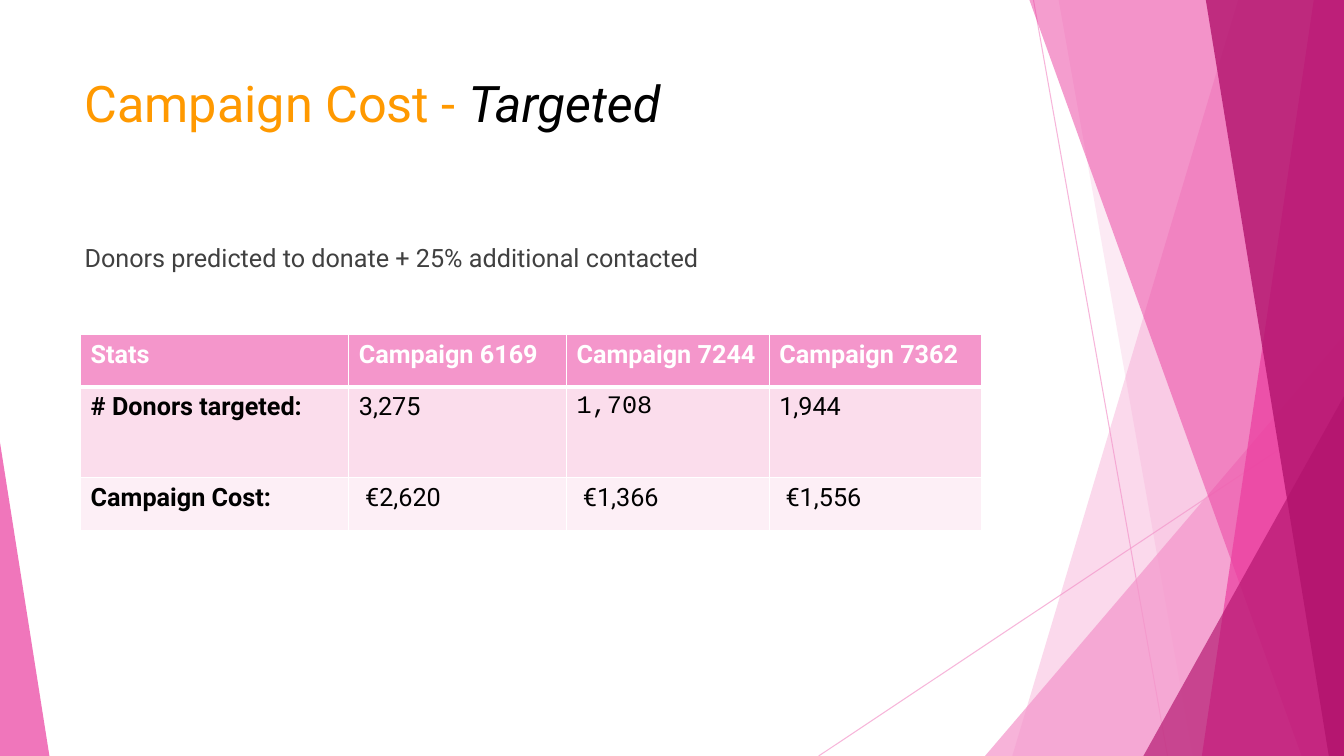
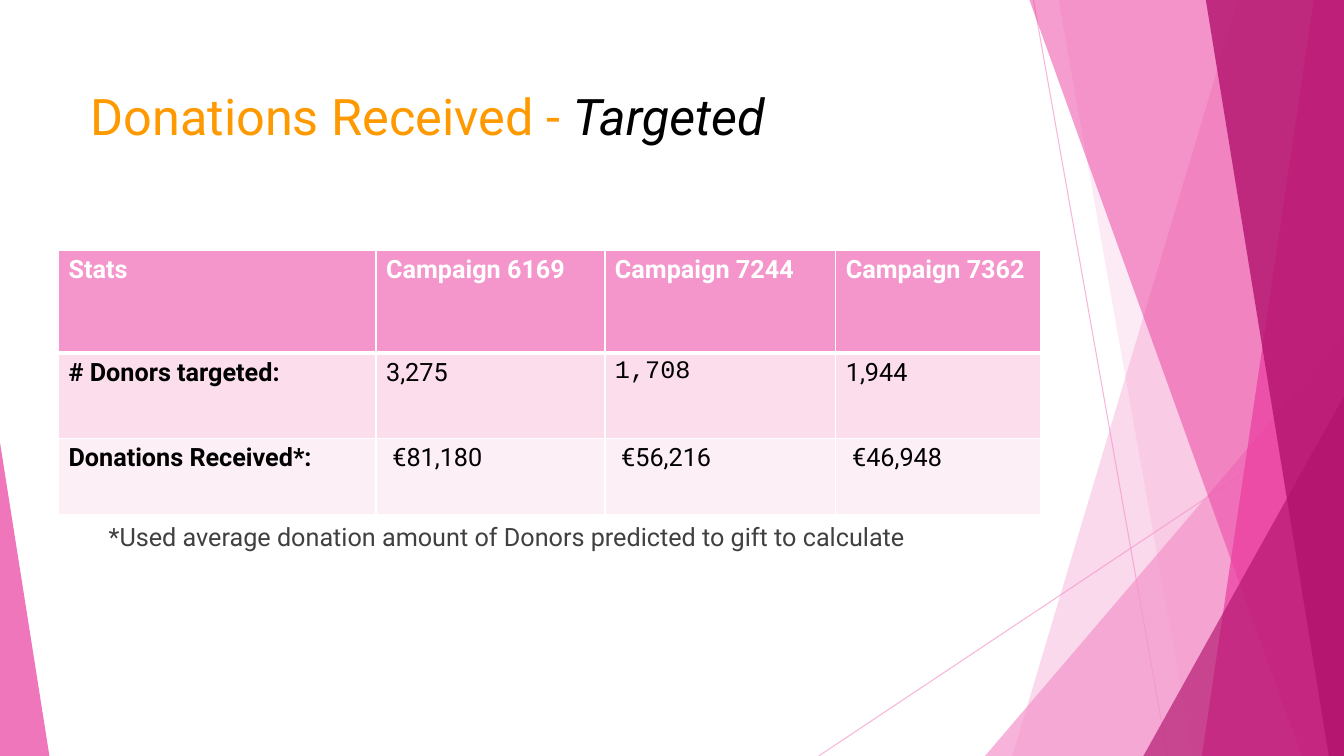
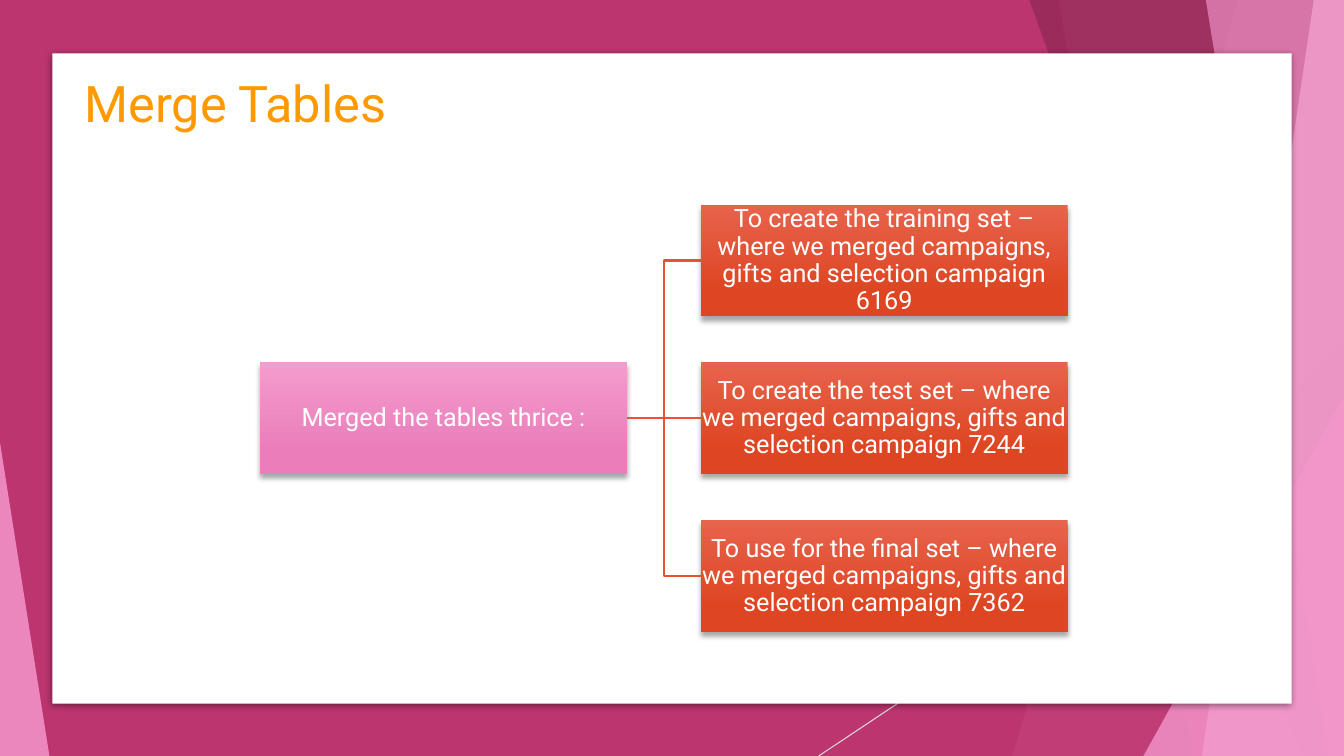
import pptx
import pptx.dml.color
import pptx.enum.shapes
import pptx.enum.text
import pptx.oxml
import pptx.oxml.ns
import pptx.util

WIDTH, HEIGHT = 13.33, 7.5


class Theme:
    font, mono = "Roboto", "Courier New"
    title_size, body_size = 36, 18
    orange, black, white, gray = "FF9900", "000000", "FFFFFF", "404040"
    pink, rose, plum, wine, blush = "F496CB", "EB3D9F", "B2136D", "8D2853", "F8C0E0"
    backdrop, silver, connector = "BC356F", "D9D9D9", "E65331"
    rows = (pink, "FBDDEC", "FDEFF6")
    root_gradient = ("F49CCD", "EA7EBB")
    branch_gradient = ("E7634C", "DE4522")


# Content
CAMPAIGNS = ["Stats", "Campaign 6169", "Campaign 7244", "Campaign 7362"]
DONORS = ["# Donors targeted:", "3,275", "1,708", "1,944"]
TABLE_SLIDES = [
    dict(
        title="Campaign Cost - ", title_at=(0.74, 0.67),
        note="Donors predicted to donate + 25% additional contacted",
        note_at=(0.74, 2.36, 9.4, 4.24),
        table_at=(0.8, 3.32), columns=(2.66, 2.16, 2.01, 2.11), heights=(0.52, 0.9, 0.52),
        result=["Campaign Cost:", " €2,620", " €1,366", " €1,556"],
    ),
    dict(
        title="Donations Received - ", title_at=(0.8, 0.8),
        note="*Used average donation amount of Donors predicted to gift to calculate",
        note_at=(0.98, 5.12, 9.17, 1.49),
        table_at=(0.58, 2.48), columns=(3.15, 2.27, 2.29, 2.03), heights=(1.02, 0.85, 0.76),
        result=["Donations Received*:", " €81,180", " €56,216", " €46,948"],
    ),
]
MERGE_ROOT = "Merged the tables thrice :"
MERGE_BRANCHES = [
    "To create the training set – where we merged campaigns, gifts and selection campaign 6169",
    "To create the test set – where we merged campaigns, gifts and selection campaign 7244",
    "To use for the final set – where we merged campaigns, gifts and selection campaign 7362",
]

# Side decoration: bands are (top x, bottom x) up to the right edge,
# triangles are (left, top, width, apex) down to the bottom edge
FACETS = [
    (12.28, 10.04), (10.5, 11.83), (9.77, 3.33, 3.56, 1), (10.21, 12.91),
    (13.03, 11.92), (11.96, 13.18), (11.34, 3.93, 1.99, 1), (0, 4.39, 0.49, 0),
]
STEEP_RAY, FLAT_RAY = (10.25, 0, 11.58, HEIGHT), (WIDTH, 4.03, 8.12, HEIGHT)
LIGHT_FACETS = [
    (Theme.pink, 36), (Theme.pink, 20), (Theme.pink, 72), (Theme.rose, 50),
    (Theme.rose, 70), (Theme.plum, 80), (Theme.plum, 66), (Theme.rose, 70),
]
DARK_FACETS = [
    (Theme.pink, 30), (Theme.pink, 20), (Theme.backdrop, 72), (Theme.wine, 70),
    (Theme.blush, 70), (Theme.pink, 65), (Theme.pink, 80), (Theme.pink, 85),
]


def inches(values):
    return [pptx.util.Inches(value) for value in values]


def color(code):
    return pptx.dml.color.RGBColor.from_string(code)


def append_xml(parent, xml):
    start, rest = xml.split(" ", 1)
    element = pptx.oxml.parse_xml(f"{start} {pptx.oxml.ns.nsdecls('a')} {rest}")
    parent.append(element)


def set_alpha(shape, percent):
    for code in shape._element.spPr.iter(pptx.oxml.ns.qn("a:srgbClr")):
        append_xml(code, f'<a:alpha val="{percent * 1000}"/>')


def add_shadow(shape, alpha, blur, distance):
    blur, distance = pptx.util.Pt(blur), pptx.util.Pt(distance)
    for effects in shape._element.spPr.findall(pptx.oxml.ns.qn("a:effectLst")):
        append_xml(effects, f'<a:outerShdw blurRad="{blur}" dist="{distance}" dir="5400000" '
                   f'algn="ctr" rotWithShape="0"><a:srgbClr val="{Theme.black}">'
                   f'<a:alpha val="{alpha * 1000}"/></a:srgbClr></a:outerShdw>')


def plain(shape, fill=None):
    shape.shadow.inherit = False
    shape.line.fill.background()
    if fill:
        shape.fill.solid()
        shape.fill.fore_color.rgb = color(fill)
    return shape


def add_rectangle(page, place, fill=None):
    kind = pptx.enum.shapes.MSO_SHAPE.RECTANGLE
    return plain(page.shapes.add_shape(kind, *inches(place)), fill)


def add_line(page, ends, code, width, kind="STRAIGHT"):
    kind = pptx.enum.shapes.MSO_CONNECTOR[kind]
    line = page.shapes.add_connector(kind, *inches(ends))
    line.line.color.rgb = color(code)
    line.line.width = pptx.util.Pt(width)
    append_xml(line._element.spPr, "<a:effectLst />")
    return line


def add_span(para, text, size, code, bold=False, italic=False, font=Theme.font):
    span = para.add_run()
    span.text = text
    span.font.name, span.font.size = font, pptx.util.Pt(size)
    span.font.bold, span.font.italic = bold, italic
    span.font.color.rgb = color(code)


def add_text(page, place):
    box = page.shapes.add_textbox(*inches(place))
    box.text_frame.word_wrap = True
    return box.text_frame.paragraphs[0]


def add_title(page, left, top, text, emphasis=None):
    para = add_text(page, (left, top, 9.4, 0.74))
    add_span(para, text, Theme.title_size, Theme.orange)
    if emphasis:
        add_span(para, emphasis, Theme.title_size, Theme.black, italic=True)


def add_facets(page, palette):
    for facet, (code, alpha) in zip(FACETS, palette):
        if len(facet) == 2:
            top, bottom = facet
            corners = [(WIDTH, 0), (WIDTH, HEIGHT), (bottom, HEIGHT)]
            builder = page.shapes.build_freeform(*inches((top, 0)))
            builder.add_line_segments([inches(corner) for corner in corners])
            shape = builder.convert_to_shape()
        else:
            left, top, width, apex = facet
            shape = page.shapes.add_shape(
                pptx.enum.shapes.MSO_SHAPE.ISOSCELES_TRIANGLE,
                *inches((left, top, width, HEIGHT - top)))
            shape.adjustments[0] = apex
        set_alpha(plain(shape, code), alpha)


def set_borders(cell, widths):
    properties = cell._tc.get_or_add_tcPr()
    fill = properties[0]
    for side, width in widths.items():
        append_xml(properties, f'<a:{side} w="{pptx.util.Pt(width)}"><a:solidFill>'
                   f'<a:srgbClr val="{Theme.white}"/></a:solidFill></a:{side}>')
    properties.append(fill)


def add_stats_table(page, place, columns, heights, rows):
    size = (sum(columns), sum(heights))
    table = page.shapes.add_table(len(rows), len(columns), *inches(place + size)).table
    for column, width in zip(table.columns, inches(columns)):
        column.width = width
    for row, height in zip(table.rows, inches(heights)):
        row.height = height
    for row, texts in enumerate(rows):
        for column, text in enumerate(texts):
            cell = table.cell(row, column)
            cell.fill.solid()
            cell.fill.fore_color.rgb = color(Theme.rows[row])
            set_borders(cell, {"lnL": 1, "lnR": 1, "lnT": 3 if row == 1 else 1,
                               "lnB": 3 if row == 0 else 1})
            add_span(cell.text_frame.paragraphs[0], text, Theme.body_size,
                     Theme.black if row else Theme.white,
                     bold=row == 0 or column == 0,
                     font=Theme.mono if (row, column) == (1, 2) else Theme.font)


def add_node(page, place, text, gradient):
    node = add_rectangle(page, place)
    node.fill.gradient()
    node.fill.gradient_angle = 270
    for stop, position, code in zip(node.fill.gradient_stops, (0, 0.78), gradient):
        stop.position = position
        stop.color.rgb = color(code)
    add_shadow(node, 35, 4, 3)
    frame = node.text_frame
    frame.word_wrap = True
    frame.vertical_anchor = pptx.enum.text.MSO_ANCHOR.MIDDLE
    frame.margin_left = frame.margin_right = pptx.util.Inches(0.01)
    frame.margin_top = frame.margin_bottom = pptx.util.Inches(0.01)
    para = frame.paragraphs[0]
    para.alignment = pptx.enum.text.PP_ALIGN.CENTER
    para.line_spacing = 0.9
    add_span(para, text, Theme.body_size, Theme.white)
    return node


def build_table_slide(page, content):
    for ray in (STEEP_RAY, FLAT_RAY):
        set_alpha(add_line(page, ray, Theme.pink, 0.75), 70)
    add_facets(page, LIGHT_FACETS)
    add_title(page, *content["title_at"], content["title"], "Targeted")
    note = add_text(page, content["note_at"])
    add_span(note, content["note"], Theme.body_size, Theme.gray)
    add_stats_table(page, content["table_at"], content["columns"], content["heights"],
                    [CAMPAIGNS, DONORS, content["result"]])


def build_merge_slide(page):
    # Dark backdrop with a white card
    add_rectangle(page, (0, 0, WIDTH, HEIGHT), Theme.backdrop)
    add_line(page, FLAT_RAY, Theme.silver, 0.75)
    add_facets(page, DARK_FACETS)
    card = add_rectangle(page, (0.52, 0.53, 12.29, 6.45), Theme.white)
    add_shadow(card, 43, 5, 1.4)
    add_title(page, 0.74, 0.67, "Merge Tables")

    # Tree: the root is level with the middle branch
    width, height, pitch = 3.64, 1.11, 1.565
    root_left, branch_left, first_top = 2.58, 6.95, 2.03
    root_top = first_top + pitch
    root = add_node(page, (root_left, root_top, width, height), MERGE_ROOT,
                    Theme.root_gradient)
    for index, text in enumerate(MERGE_BRANCHES):
        top = first_top + index * pitch
        branch = add_node(page, (branch_left, top, width, height), text,
                          Theme.branch_gradient)
        ends = (root_left + width, root_top + height / 2, branch_left, top + height / 2)
        link = add_line(page, ends, Theme.connector, 1.5,
                        "STRAIGHT" if top == root_top else "ELBOW")
        link.begin_connect(root, 3)
        link.end_connect(branch, 1)


def main():
    deck = pptx.Presentation()
    deck.slide_width, deck.slide_height = inches((WIDTH, HEIGHT))
    blank = deck.slide_layouts[6]
    for content in TABLE_SLIDES:
        build_table_slide(deck.slides.add_slide(blank), content)
    build_merge_slide(deck.slides.add_slide(blank))
    deck.save("out.pptx")


if __name__ == "__main__":
    main()
